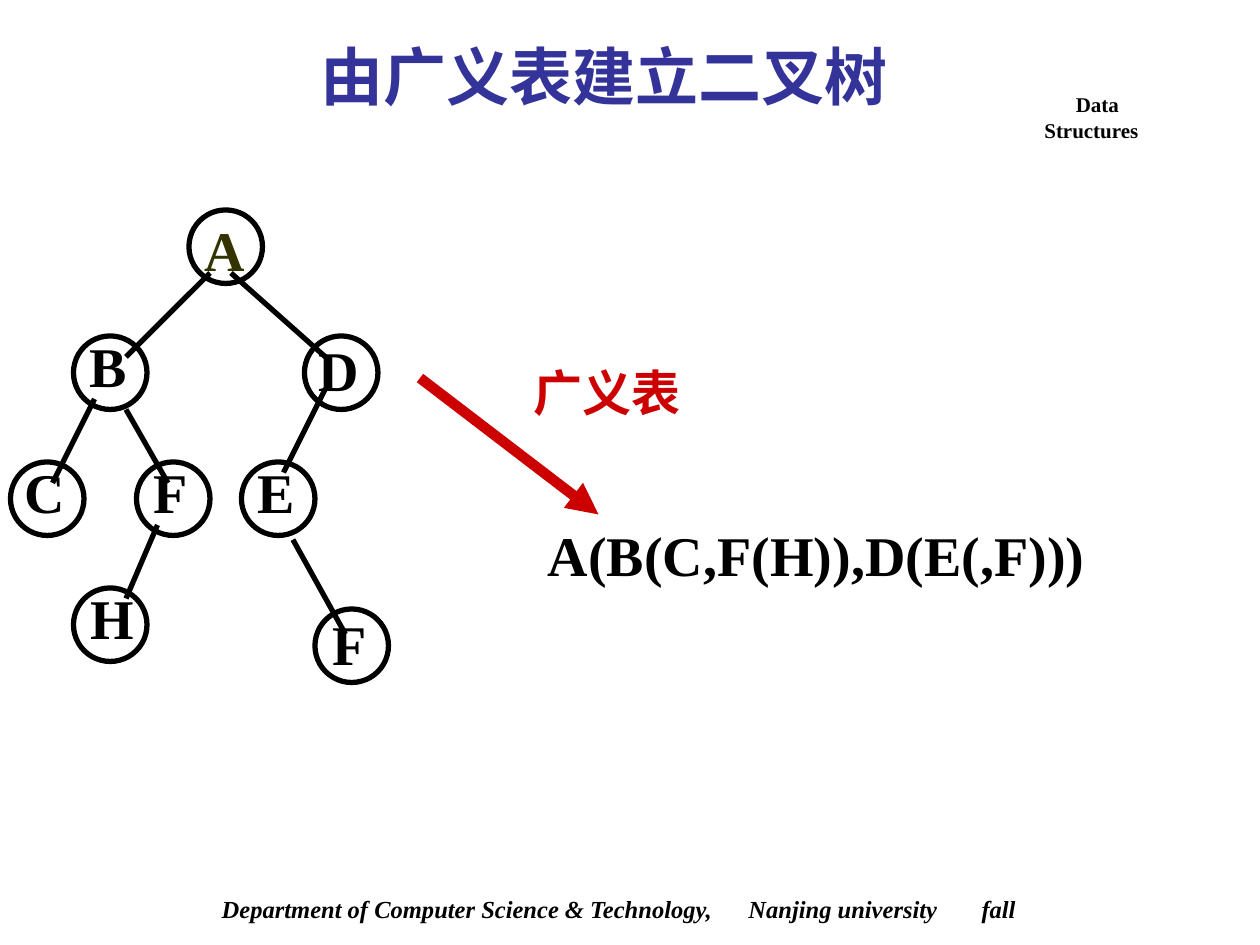
from dataclasses import dataclass

from lxml import etree
from pptx import Presentation
from pptx.dml.color import RGBColor
from pptx.enum.shapes import MSO_CONNECTOR, MSO_SHAPE
from pptx.enum.text import MSO_ANCHOR, MSO_AUTO_SIZE, PP_ALIGN
from pptx.oxml.ns import qn
from pptx.util import Inches, Pt

LEFT, CENTER = PP_ALIGN.LEFT, PP_ALIGN.CENTER
TOP, MIDDLE = MSO_ANCHOR.TOP, MSO_ANCHOR.MIDDLE


@dataclass(frozen=True)
class Theme:
    font: str = "Times New Roman"
    title: str = "333399"
    ink: str = "000000"
    root: str = "333300"
    accent: str = "CC0000"
    title_size: int = 36
    node_size: int = 32
    caption_size: int = 28
    footer_size: int = 14
    header_size: int = 12
    edge_width: int = 3
    arrow_width: int = 6


THEME = Theme()

TITLE = "由广义表建立二叉树"
HEADER = ["Data", "Structures"]
FOOTER = ["Department of Computer Science & Technology,", "Nanjing university", "fall"]
FOOTER_TABS = [4.18, 6.03]
CAPTION = "广义表"
NOTATION = "A(B(C,F(H)),D(E(,F)))"

# The tree sits on a grid of twelve cells to the inch.
CELL = 1 / 12
NODE_CELLS = 7
LABEL_WIDTH, LABEL_HEIGHT = 0.52, 0.64

# letter, column, row, label offset in inches, colour
NODES = [
    ("A", 18, 20, (-0.01, 0.02), THEME.root),
    ("B", 7, 32, (-0.02, -0.06), THEME.ink),
    ("D", 29, 32, (-0.02, -0.03), THEME.ink),
    ("C", 1, 44, (-0.02, -0.06), THEME.ink),
    ("F", 13, 44, (-0.02, -0.06), THEME.ink),
    ("E", 23, 44, (-0.02, -0.06), THEME.ink),
    ("H", 7, 56, (0.02, -0.06), THEME.ink),
    ("F", 30, 58, (-0.02, -0.02), THEME.ink),
]
# start and end as (column, row)
EDGES = [
    ((20, 26), (12, 34)),
    ((22, 26), (31, 34)),
    ((9, 38), (5, 46)),
    ((12, 39), (16, 46)),
    ((31, 37), (27, 45)),
    ((15, 50), (12, 57)),
    ((27.9, 51.4), (32.9, 60.4)),
]
ARROW = ((40, 36), (57, 49))


def write(shape, lines, size, color, align=LEFT, anchor=TOP, wrap=True, italic=False):
    frame = shape.text_frame
    frame.text = "\n".join(lines)
    frame.word_wrap = wrap
    frame.auto_size = MSO_AUTO_SIZE.NONE
    frame.vertical_anchor = anchor
    for paragraph in frame.paragraphs:
        paragraph.alignment = align
        for run in paragraph.runs:
            run.font.name = THEME.font
            run.font.size = Pt(size)
            run.font.bold = True
            run.font.italic = italic
            run.font.color.rgb = RGBColor.from_string(color)
    return frame


def add_text(slide, box, lines, size, color, **options):
    shape = slide.shapes.add_textbox(*map(Inches, box))
    return write(shape, lines, size, color, **options)


def add_line(slide, ends, color, width):
    """Draw a straight line between two grid points."""
    points = [Inches(value * CELL) for end in ends for value in end]
    line = slide.shapes.add_connector(MSO_CONNECTOR.STRAIGHT, *points)
    line.line.color.rgb = RGBColor.from_string(color)
    line.line.width = Pt(width)
    etree.SubElement(line._element.spPr, qn("a:effectLst"))
    return line


def add_circle(slide, column, row):
    side = Inches(NODE_CELLS * CELL)
    circle = slide.shapes.add_shape(
        MSO_SHAPE.OVAL, Inches(column * CELL), Inches(row * CELL), side, side)
    circle.shadow.inherit = False
    circle.fill.background()
    circle.line.color.rgb = RGBColor.from_string(THEME.ink)
    circle.line.width = Pt(THEME.edge_width)


def add_label(slide, letter, column, row, offset, color):
    center_x = (column + NODE_CELLS / 2) * CELL + offset[0]
    center_y = (row + NODE_CELLS / 2) * CELL + offset[1]
    box = (center_x - LABEL_WIDTH / 2, center_y - LABEL_HEIGHT / 2,
           LABEL_WIDTH, LABEL_HEIGHT)
    add_text(slide, box, [letter], THEME.node_size, color,
             align=CENTER, anchor=MIDDLE, wrap=False)


def add_tree(slide):
    for _, column, row, _, _ in NODES:
        add_circle(slide, column, row)
    for ends in EDGES:
        add_line(slide, ends, THEME.ink, THEME.edge_width)
    for node in NODES:
        add_label(slide, *node)


def add_title(slide):
    title = slide.shapes.title
    title.left, title.top, title.width, title.height = map(Inches, (1.58, 0.25, 6.42, 0.7))
    write(title, [TITLE], THEME.title_size, THEME.title, align=CENTER)


def add_header(slide):
    frame = add_text(slide, (8.19, 0.68, 1.38, 0.5), HEADER, THEME.header_size, THEME.ink)
    properties = frame.paragraphs[0]._p.get_or_add_pPr()
    properties.set("marL", str(Inches(0.25)))
    properties.set("indent", "0")


def add_footer(slide):
    frame = add_text(slide, (0.82, 7.05, 8.34, 0.34), ["\t".join(FOOTER)],
                     THEME.footer_size, THEME.ink, italic=True)
    frame.margin_left = Inches(0.94)
    properties = frame.paragraphs[0]._p.get_or_add_pPr()
    tabs = etree.SubElement(properties, qn("a:tabLst"))
    for position in FOOTER_TABS:
        etree.SubElement(tabs, qn("a:tab"), pos=str(Inches(position)), algn="l")


def add_result(slide):
    add_text(slide, (4.25, 4.08, 5.75, 0.64), [NOTATION], THEME.node_size, THEME.ink)
    arrow = add_line(slide, ARROW, THEME.accent, THEME.arrow_width)
    etree.SubElement(arrow.line._get_or_add_ln(), qn("a:tailEnd"), type="triangle")
    add_text(slide, (4.14, 2.83, 1.36, 0.57), [CAPTION], THEME.caption_size,
             THEME.accent, align=CENTER, wrap=False)


def main():
    presentation = Presentation()
    presentation.slide_width, presentation.slide_height = Inches(10), Inches(7.5)
    slide = presentation.slides.add_slide(presentation.slide_layouts[5])
    add_title(slide)
    add_header(slide)
    add_footer(slide)
    add_tree(slide)
    add_result(slide)
    presentation.save("out.pptx")


if __name__ == "__main__":
    main()
